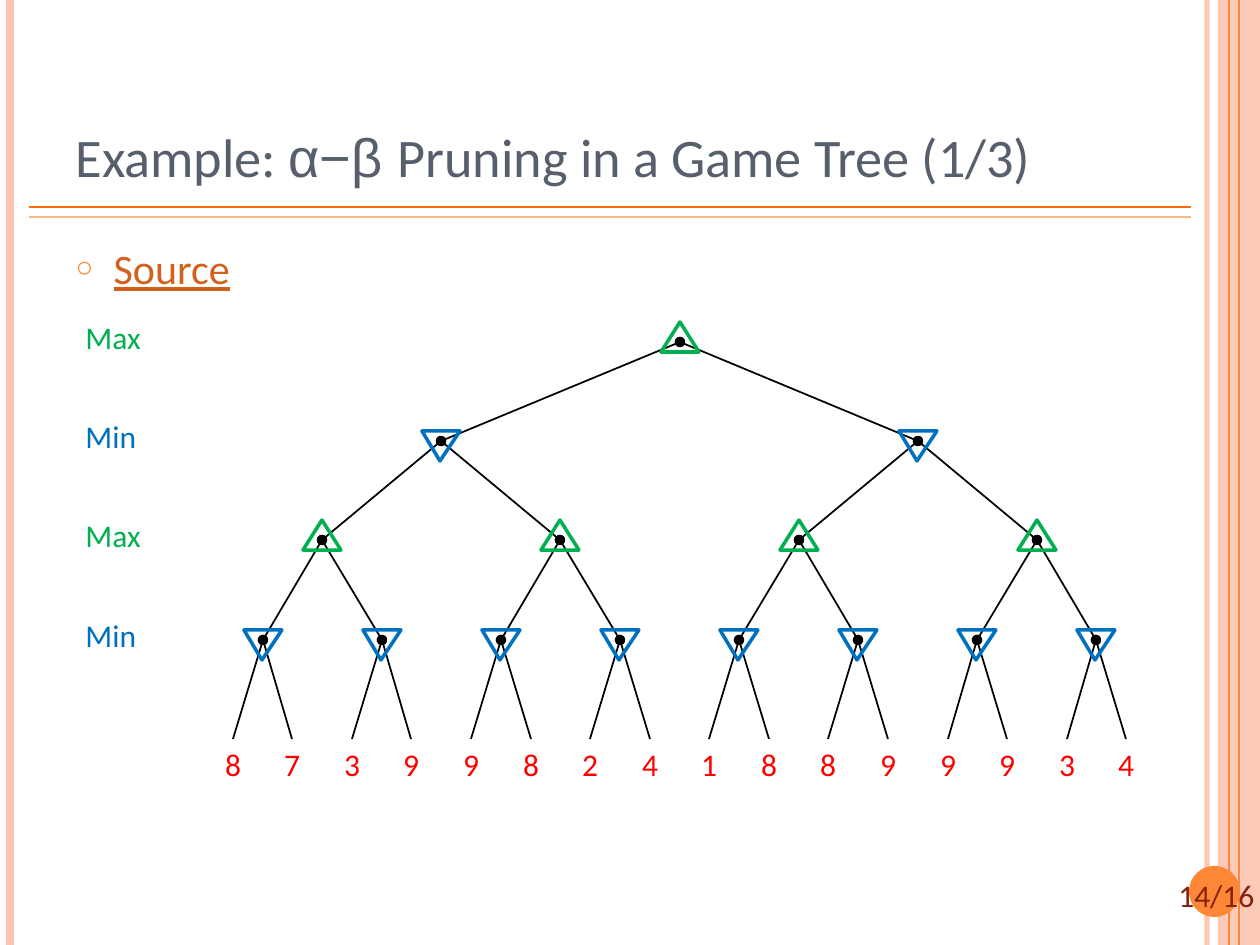
from lxml.etree import SubElement
from pptx import Presentation
from pptx.dml.color import RGBColor
from pptx.enum.shapes import MSO_CONNECTOR, MSO_SHAPE
from pptx.enum.text import MSO_ANCHOR, MSO_AUTO_SIZE, PP_ALIGN
from pptx.oxml.ns import qn
from pptx.util import Pt

SCALE = 914400 / 126
COLOURS = {
    "title": "575F6D", "link": "D2611C", "orange": "FE8637", "peach": "FEC3AE",
    "rule": "FF6B0A", "pale rule": "FEB687", "number": "862110",
    "edge": "000000", "Max": "00B050", "Min": "0070C0", "leaf": "FF0000",
}
LEVELS = ["Max", "Min", "Max", "Min"]
LEAVES = "8739982418899934"
TREE_LEFT, TREE_WIDTH = 203, 953
LEVEL_TOPS = [342, 441, 540, 640, 739]
RULES = [
    ((1207, 0), (1207, 945), "peach", 3, 93),
    ((10, 0), (10, 945), "peach", 4.5, 100),
    ((1239, 0), (1239, 945), "orange", 1.5, 100),
    ((1229, 0), (1229, 945), "orange", 0.75, 100),
    ((29, 207), (1191, 207), "rule", 1, 100),
    ((29, 217), (1191, 217), "pale rule", 1, 100),
]


def px(*lengths):
    """Turn pixel lengths into EMU."""
    return [round(length * SCALE) for length in lengths]


def colour(name):
    """Look up a named colour."""
    return RGBColor.from_string(COLOURS[name])


def assign(target, values):
    """Set every attribute given in a dict."""
    for name, value in values.items():
        setattr(target, name, value)


def set_alpha(element, percent):
    """Make the first solid colour inside an element partly transparent."""
    if percent < 100:
        shade = next(element.iter(qn("a:srgbClr")))
        SubElement(shade, qn("a:alpha"), val=str(percent * 1000))


def add_span(para, text, size, shade, face="Calibri", **extra):
    """Add a formatted run to a paragraph."""
    span = para.add_run()
    span.text = text
    assign(span.font, {"name": face, "size": Pt(size), **extra})
    span.font.color.rgb = colour(shade)


def add_label(page, text, place, shade, align=PP_ALIGN.LEFT):
    """Add a one-line text box."""
    box = page.shapes.add_textbox(*px(*place))
    assign(box.text_frame, {"word_wrap": False, "auto_size": MSO_AUTO_SIZE.SHAPE_TO_FIT_TEXT})
    para = box.text_frame.paragraphs[0]
    para.alignment = align
    add_span(para, text, 18, shade)


def add_line(page, start, end, shade, width, alpha=100, dotted_start=False):
    """Add a straight line, optionally starting with a dot."""
    line = page.shapes.add_connector(MSO_CONNECTOR.STRAIGHT, *px(*start, *end))
    line.line.color.rgb = colour(shade)
    line.line.width = Pt(width)
    properties = line.element.spPr
    set_alpha(properties, alpha)
    if dotted_start:
        SubElement(properties.find(qn("a:ln")), qn("a:headEnd"), type="oval")
    SubElement(properties, qn("a:effectLst"))


def add_filled(page, kind, place, shade, alpha=100):
    """Add a filled shape without outline."""
    shape = page.shapes.add_shape(kind, *px(*place))
    shape.shadow.inherit = False
    shape.fill.solid()
    shape.fill.fore_color.rgb = colour(shade)
    set_alpha(shape.element.spPr, alpha)
    shape.line.fill.background()


def add_node(page, player, x, y):
    """Outline a game node, pointing up for Max and down for Min."""
    top = y - 20 if player == "Max" else y - 10
    node = page.shapes.add_shape(MSO_SHAPE.ISOSCELES_TRIANGLE, *px(x - 19, top, 38, 30))
    node.shadow.inherit = False
    node.fill.background()
    node.line.color.rgb = colour(player)
    node.line.width = Pt(2)
    if player == "Min":
        node.adjustments[0] = 0.475
        node.element.spPr.find(qn("a:xfrm")).set("flipV", "1")


def place_holder(holder, place, anchor):
    """Position a placeholder and return its first paragraph."""
    assign(holder, dict(zip(("left", "top", "width", "height"), px(*place))))
    assign(holder.text_frame, {
        "vertical_anchor": anchor, "word_wrap": True, "auto_size": MSO_AUTO_SIZE.NONE,
    })
    para = holder.text_frame.paragraphs[0]
    para.alignment = PP_ALIGN.LEFT
    return para


def fill_title(page):
    """Write the slide title."""
    para = place_holder(page.shapes.title, (63, 38, 1029, 157), MSO_ANCHOR.BOTTOM)
    add_span(para, "Example: ", 31, "title")
    add_span(para, "α−β ", 31, "title", "Arial")
    add_span(para, "Pruning in a Game Tree (1/3)", 31, "title")


def fill_body(page):
    """Write the bulleted source line."""
    para = place_holder(page.placeholders[1], (63, 236, 1029, 656), MSO_ANCHOR.TOP)
    para.space_before = Pt(6)
    add_span(para, "Source", 24, "link", underline=True)
    properties = para._p.get_or_add_pPr()
    indent = px(38)[0]
    properties.set("marL", str(indent))
    properties.set("indent", str(-indent))
    SubElement(SubElement(properties, qn("a:buClr")), qn("a:srgbClr"), val=COLOURS["orange"])
    SubElement(properties, qn("a:buSzPct"), val="70000")
    SubElement(properties, qn("a:buChar"), char="○")


def add_frame(page):
    """Draw the rules, side band and page number."""
    add_filled(page, MSO_SHAPE.RECTANGLE, (1218, 0, 42, 945), "peach", 87)
    for rule in RULES:
        add_line(page, *rule)
    add_filled(page, MSO_SHAPE.OVAL, (1189, 866, 51, 51), "orange")
    add_label(page, "14/16", (1166, 870, 115, 50), "number")


def node_at(level, index):
    """Return the centre of a tree node."""
    return round(TREE_LEFT + (index + 0.5) * TREE_WIDTH / 2 ** level), LEVEL_TOPS[level]


def add_tree(page):
    """Draw the edges, nodes, leaf values and player labels."""
    nodes = [(level, index) for level in range(len(LEVELS)) for index in range(2 ** level)]
    for level, index in nodes:
        for child in (2 * index, 2 * index + 1):
            add_line(page, node_at(level, index), node_at(level + 1, child),
                     "edge", 1, dotted_start=True)
    for level, index in nodes:
        add_node(page, LEVELS[level], *node_at(level, index))
    for level, player in enumerate(LEVELS):
        add_label(page, player, (73, LEVEL_TOPS[level] - 30, 81, 50), player)
    for index, value in enumerate(LEAVES):
        x, y = node_at(len(LEVELS), index)
        add_label(page, value, (x - 21, y, 42, 50), "leaf", PP_ALIGN.CENTER)


def main():
    """Build the slide and save it."""
    deck = Presentation()
    deck.slide_width, deck.slide_height = px(1260, 945)
    page = deck.slides.add_slide(deck.slide_layouts[1])
    add_frame(page)
    fill_title(page)
    fill_body(page)
    add_tree(page)
    deck.save("out.pptx")


if __name__ == "__main__":
    main()
